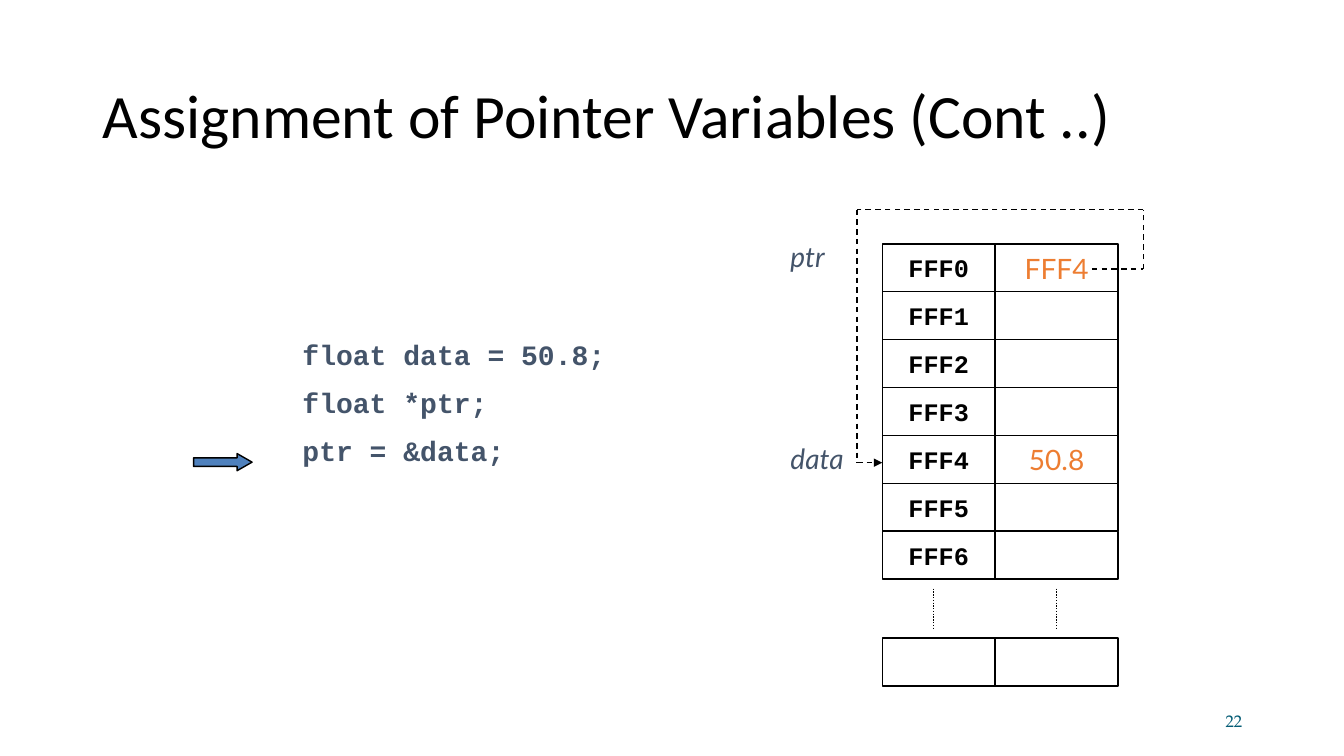
from lxml import etree
from pptx import Presentation
from pptx.dml.color import RGBColor
from pptx.enum.dml import MSO_LINE
from pptx.enum.shapes import MSO_CONNECTOR, MSO_SHAPE
from pptx.enum.text import MSO_ANCHOR, MSO_AUTO_SIZE, PP_ALIGN
from pptx.oxml.ns import qn
from pptx.util import Inches, Pt

RECT, ARROW = MSO_SHAPE.RECTANGLE, MSO_SHAPE.RIGHT_ARROW
STRAIGHT = MSO_CONNECTOR.STRAIGHT
DASH, DOT = MSO_LINE.DASH, MSO_LINE.ROUND_DOT
LEFT, CENTER, RIGHT = PP_ALIGN.LEFT, PP_ALIGN.CENTER, PP_ALIGN.RIGHT
MIDDLE, TOP = MSO_ANCHOR.MIDDLE, MSO_ANCHOR.TOP
COLORS = {"black": "000000", "slate": "44546A", "orange": "ED7D31",
          "blue": "4F81BD", "teal": "045C75"}
COLORS = {name: RGBColor.from_string(code) for name, code in COLORS.items()}


def write(shape, text, size, face, color, align=LEFT, anchor=MIDDLE):
    """Fill a shape with lines of text in one style."""
    frame = shape.text_frame
    frame.text = text
    frame.auto_size = MSO_AUTO_SIZE.NONE
    frame.vertical_anchor = anchor
    for par in frame.paragraphs:
        par.alignment = align
        par.font.size = Pt(size)
        par.font.name = face
        par.font.color.rgb = COLORS[color]
    return frame


def join(x1, y1, x2, y2, dash):
    """Draw a thin black broken line."""
    link = slide.shapes.add_connector(
        STRAIGHT, Inches(x1), Inches(y1), Inches(x2), Inches(y2))
    link.line.color.rgb = COLORS["black"]
    link.line.width = Pt(1)
    link.line.dash_style = dash
    etree.SubElement(link._element.spPr, qn("a:effectLst"))
    return link


prs = Presentation()
prs.slide_width, prs.slide_height = Inches(13.33), Inches(7.5)
slide = prs.slides.add_slide(prs.slide_layouts[1])
title, code = slide.placeholders

# Title
title.left, title.top = Inches(0.92), Inches(0.4)
title.width, title.height = Inches(11.5), Inches(1.45)
write(title, "Assignment of Pointer Variables (Cont ..)", 44, "Calibri", "black")

# Page number
page = slide.shapes.add_textbox(Inches(9.42), Inches(6.95), Inches(3), Inches(0.4))
write(page, "22", 12, "TeX Gyre Pagella", "teal", RIGHT)

# Code lines
code.left, code.top = Inches(3), Inches(3.23)
code.width, code.height = Inches(3.75), Inches(1.6)
frame = write(code, "float data = 50.8;\nfloat *ptr;\nptr = &data;",
              20, "Courier New", "slate", anchor=TOP)
frame.margin_left = frame.margin_right = 0
for par in frame.paragraphs:
    par.font.bold = True
    par.line_spacing = 1.2
    par.space_before = Pt(5.6)
    props = par._p.get_or_add_pPr()
    props.set("marL", "0")
    props.set("indent", "0")
    props.insert_element_before(
        etree.Element(qn("a:buNone")), "a:tabLst", "a:defRPr", "a:extLst")

# Memory cells: address and value columns, with a last row set apart
first, pitch = 2.42, 0.475
rows = [(first + i * pitch, f"FFF{i}", {0: "FFF4", 4: "50.8"}.get(i, ""))
        for i in range(7)]
rows.append((6.33, "", ""))
for top, address, value in rows:
    for left, width, text, size, face, color in (
            (8.75, 1.12, address, 18, "Courier New", "black"),
            (9.87, 1.22, value, 20, "Lato", "orange")):
        cell = slide.shapes.add_shape(
            RECT, Inches(left), Inches(top), Inches(width), Inches(pitch))
        cell.shadow.inherit = False
        cell.fill.background()
        cell.line.color.rgb = COLORS["black"]
        cell.line.width = Pt(1)
        if text:
            frame = write(cell, text, size, face, color, CENTER)
            frame.word_wrap = False
            frame.paragraphs[0].font.bold = face == "Courier New"

# Variable names
for name, top in (("ptr", 2.33), ("data", 4.33)):
    label = slide.shapes.add_textbox(
        Inches(7.84), Inches(top), Inches(0.75), Inches(0.43))
    frame = write(label, name, 20, "Lato", "slate", anchor=TOP)
    frame.word_wrap = True
    frame.margin_left = frame.margin_right = 0
    frame.paragraphs[0].font.italic = True

# Dashed route from the pointer's value to the address it holds
route = [(10.83, 2.67), (11.34, 2.67), (11.34, 2.08), (8.5, 2.08),
         (8.5, 4.59), (8.75, 4.59)]
for start, end in zip(route, route[1:]):
    link = join(*start, *end, DASH)
etree.SubElement(link.line._get_or_add_ln(), qn("a:tailEnd"),
                 type="triangle", w="med", len="med")

# Dotted gaps above the last row
for x in (9.26, 10.48):
    join(x, 5.84, x, 6.25, DOT)

# Arrow at the current statement
arrow = slide.shapes.add_shape(
    ARROW, Inches(1.92), Inches(4.5), Inches(0.58), Inches(0.17))
arrow.adjustments[0], arrow.adjustments[1] = 0.5, 0.875
arrow.shadow.inherit = False
arrow.fill.solid()
arrow.fill.fore_color.rgb = COLORS["blue"]
arrow.line.color.rgb = COLORS["black"]
arrow.line.width = Pt(1)

prs.save("out.pptx")
